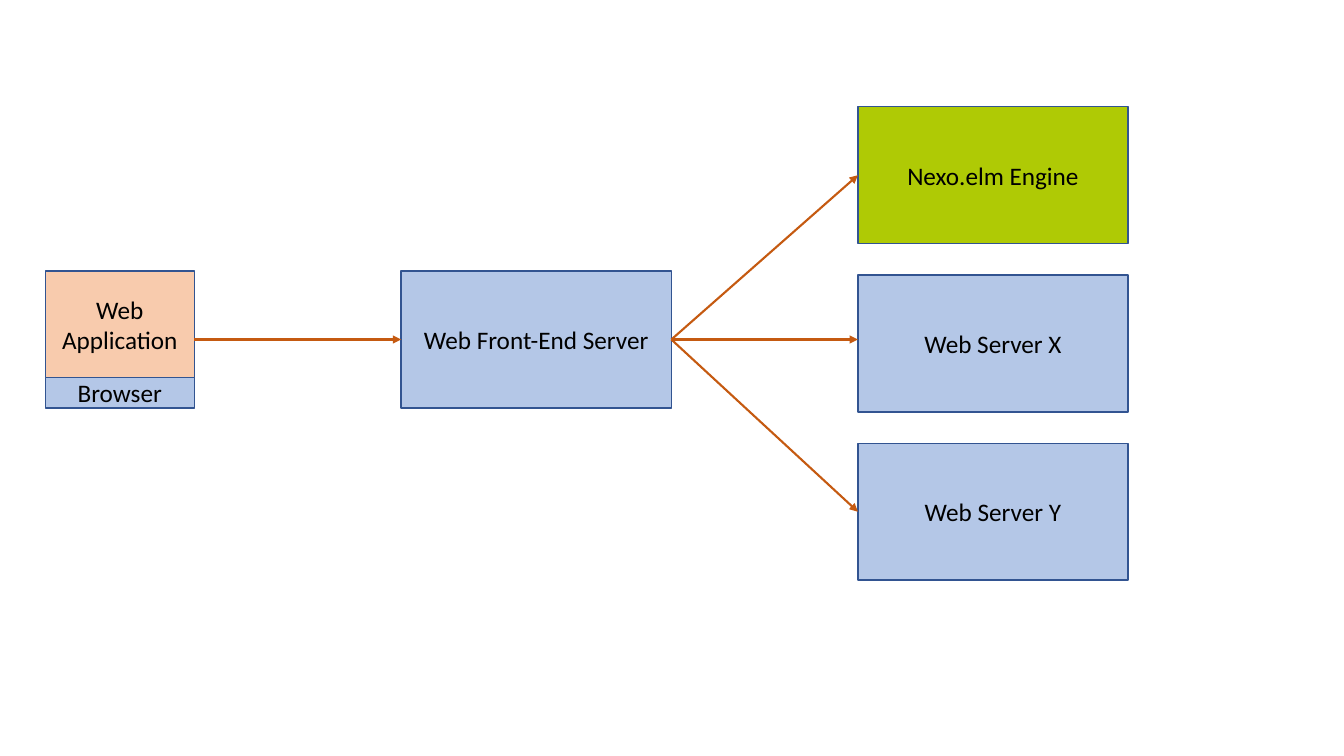
import pptx
import pptx.util
import pptx.dml.color
import pptx.enum.shapes
import pptx.enum.text
import pptx.oxml.ns
import lxml.etree

Cm = pptx.util.Cm
Pt = pptx.util.Pt

# Content
CLIENT = [("Browser", "blue"), ("Web Application", "peach")]
FRONT_END = ("Web Front-End Server", "blue")
SERVERS = [("Nexo.elm Engine", "green"), ("Web Server X", "blue"), ("Web Server Y", "blue")]

COLORS = {"blue": "B4C7E7", "peach": "F8CBAD", "green": "AFCA05",
          "border": "325491", "arrow": "C55A11", "text": "000000"}

# Layout in centimetres
CLIENT_LEFT, CLIENT_WIDTH, BROWSER_HEIGHT = 1.14, 3.76, 0.76
FRONT_LEFT, FRONT_TOP = 10.11, 6.83
SERVER_LEFT, SERVER_TOP, SERVER_PITCH = 21.62, 2.69, 4.24
BOX_WIDTH, BOX_HEIGHT = 6.81, 3.45


def color(name):
    return pptx.dml.color.RGBColor.from_string(COLORS[name])


def add_box(shapes, label, fill, left, top, width=BOX_WIDTH, height=BOX_HEIGHT):
    box = shapes.add_shape(pptx.enum.shapes.MSO_SHAPE.RECTANGLE,
                           Cm(left), Cm(top), Cm(width), Cm(height))
    box.shadow.inherit = False
    box.fill.solid()
    box.fill.fore_color.rgb = color(fill)
    box.line.color.rgb = color("border")
    box.line.width = Pt(1)
    frame = box.text_frame
    frame.text = label
    frame.word_wrap = True
    frame.vertical_anchor = pptx.enum.text.MSO_ANCHOR.MIDDLE
    para = frame.paragraphs[0]
    para.alignment = pptx.enum.text.PP_ALIGN.CENTER
    font = para.runs[0].font
    font.name, font.size = "Calibri", Pt(18)
    font.color.rgb = color("text")


def add_arrow(shapes, x1, y1, x2, y2):
    arrow = shapes.add_connector(pptx.enum.shapes.MSO_CONNECTOR.STRAIGHT,
                                 Cm(x1), Cm(y1), Cm(x2), Cm(y2))
    arrow.line.color.rgb = color("arrow")
    arrow.line.width = Pt(1.5)
    qn = pptx.oxml.ns.qn
    lxml.etree.SubElement(arrow.line._get_or_add_ln(), qn("a:tailEnd"), type="triangle")
    lxml.etree.SubElement(arrow._element.spPr, qn("a:effectLst"))


def main():
    deck = pptx.Presentation()
    deck.slide_width, deck.slide_height = Cm(33.87), Cm(19.05)
    page = deck.slides.add_slide(deck.slide_layouts[6])
    middle = FRONT_TOP + BOX_HEIGHT / 2

    # Client: the application stands on the browser
    client = page.shapes.add_group_shape()
    app_height = BOX_HEIGHT - BROWSER_HEIGHT
    spans = [(FRONT_TOP + app_height, BROWSER_HEIGHT), (FRONT_TOP, app_height)]
    for (label, fill), (top, height) in zip(CLIENT, spans):
        add_box(client.shapes, label, fill, CLIENT_LEFT, top, CLIENT_WIDTH, height)

    # Front-end server
    add_box(page.shapes, *FRONT_END, FRONT_LEFT, FRONT_TOP)
    add_arrow(page.shapes, CLIENT_LEFT + CLIENT_WIDTH, middle, FRONT_LEFT, middle)

    # Back-end servers; the arrow to the central one stays level
    for index, (label, fill) in enumerate(SERVERS):
        top = SERVER_TOP + index * SERVER_PITCH
        add_box(page.shapes, label, fill, SERVER_LEFT, top)
        target = middle if index == 1 else top + BOX_HEIGHT / 2
        add_arrow(page.shapes, FRONT_LEFT + BOX_WIDTH, middle, SERVER_LEFT, target)

    deck.save("out.pptx")


if __name__ == "__main__":
    main()
